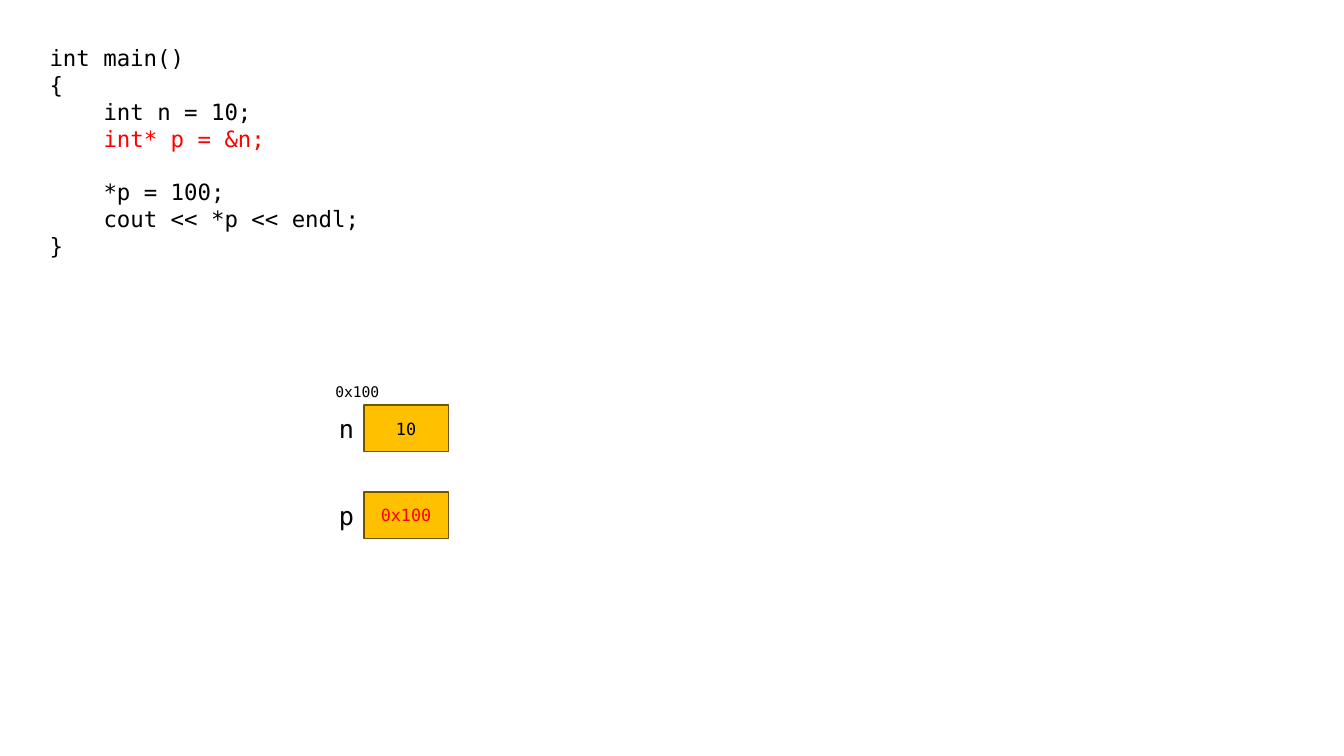
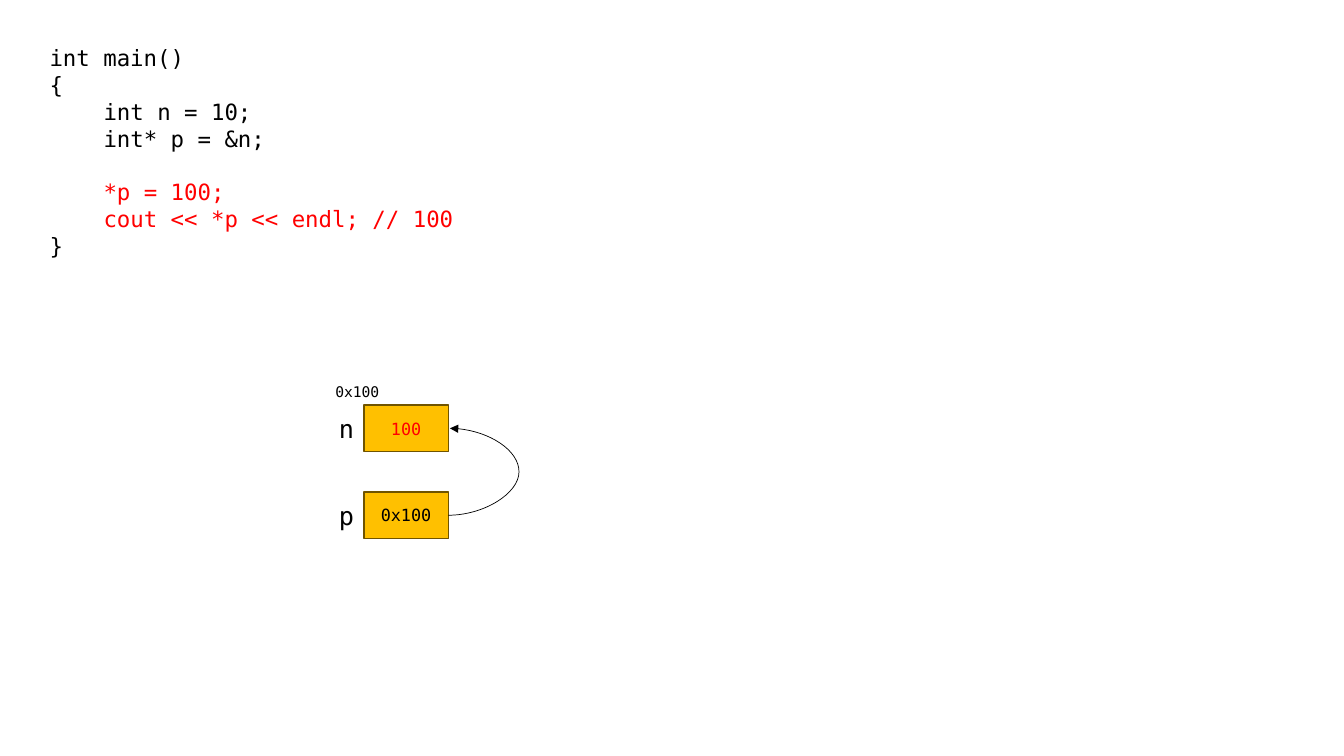
from dataclasses import dataclass

from lxml.etree import SubElement
from pptx import Presentation
from pptx.dml.color import RGBColor as Rgb
from pptx.enum.shapes import MSO_CONNECTOR as Link, MSO_SHAPE as Preset
from pptx.enum.text import MSO_ANCHOR as Anchor, MSO_AUTO_SIZE as Fit, PP_ALIGN as Align
from pptx.oxml.ns import qn
from pptx.util import Cm, Pt


@dataclass(frozen=True)
class Theme:
    """Colours, font and type sizes shared by the slides."""
    ink: Rgb = Rgb(0, 0, 0)
    accent: Rgb = Rgb(0xFF, 0, 0)
    cell: Rgb = Rgb(0xFF, 0xC0, 0)
    edge: Rgb = Rgb(0x70, 0x54, 0)
    paper: Rgb = Rgb(0xFF, 0xFF, 0xFF)
    font: str = "DejaVu Sans Mono"
    code: float = 16
    name: float = 18
    value: float = 12
    address: float = 10.5


@dataclass(frozen=True)
class Box:
    """A region of the slide, in centimetres."""
    left: float
    top: float
    width: float
    height: float

    def place(self):
        """Return the region as lengths for an add method."""
        return Cm(self.left), Cm(self.top), Cm(self.width), Cm(self.height)

    def inner(self, left, top, width, height):
        """Return a region measured from this one's corner."""
        return Box(self.left + left, self.top + top, width, height)


THEME = Theme()
CODE_BOX = Box(1, 1, 16.94, 5.9)
MEMORY_BOX = Box(8.2, 9.52, 3.1, 4.05)
INDENT, BLANK_LINE = Cm(1.36), 18.6


def write(paragraph, text, size, color=THEME.ink, align=Align.LEFT, indent=0, before=0):
    """Put formatted text into a paragraph."""
    run = paragraph.add_run()
    run.text = text
    run.font.name, run.font.size = THEME.font, Pt(size)
    run.font.color.rgb = color
    paragraph.alignment = align
    paragraph.space_before = Pt(before)
    if indent:
        paragraph._p.get_or_add_pPr().set("marL", str(indent))


def text_frame(slide, box):
    """Add a wrapping text box that grows with its text."""
    frame = slide.shapes.add_textbox(*box.place()).text_frame
    frame.word_wrap = True
    frame.auto_size = Fit.SHAPE_TO_FIT_TEXT
    return frame


def code_listing(slide, box, lines, marked):
    """Show the program, with the marked lines in the accent colour."""
    frame = text_frame(slide, box)
    for number, (text, depth, gap) in enumerate(lines):
        paragraph = frame.add_paragraph() if number else frame.paragraphs[0]
        write(paragraph, text, THEME.code, THEME.accent if number in marked else THEME.ink,
              indent=depth * INDENT, before=gap)


def variable(slide, box, name, value, changed):
    """Draw a named memory cell and return the cell."""
    cell = slide.shapes.add_shape(Preset.RECTANGLE, *box.inner(0.97, 0, 2.13, 1.17).place())
    cell.shadow.inherit = False
    cell.fill.solid()
    cell.fill.fore_color.rgb = THEME.cell
    cell.line.color.rgb, cell.line.width = THEME.edge, Pt(1)
    cell.text_frame.vertical_anchor = Anchor.MIDDLE
    write(cell.text_frame.paragraphs[0], value, THEME.value,
          THEME.accent if changed else THEME.ink, Align.CENTER)
    label = text_frame(slide, box.inner(0, 0.08, 1.07, 1.02))
    write(label.paragraphs[0], name, THEME.name, align=Align.CENTER)
    return cell


def pointer_arrow(slide, source, target, reach=Cm(1.78), offset=Cm(0.04)):
    """Curve an arrow out to the right from one cell back to another."""
    arrow = slide.shapes.add_connector(Link.CURVE, 0, 0, 0, 0)
    arrow.begin_connect(source, 3)
    arrow.end_connect(target, 3)
    arrow.end_x = arrow.begin_x + offset
    arrow.line.color.rgb, arrow.line.width = THEME.ink, Pt(0.5)
    SubElement(arrow.line._get_or_add_ln(), qn("a:tailEnd"), type="triangle")
    properties = arrow._element.spPr
    SubElement(properties, qn("a:effectLst"))
    guides = properties.find(qn("a:prstGeom")).get_or_add_avLst()
    SubElement(guides, qn("a:gd"), name="adj1", fmla=f"val {round(reach / offset * 100000)}")


def memory(slide, box, values, changed, linked):
    """Stack the variables under their address, linked by an arrow if asked."""
    cells = {}
    for row, (name, value) in enumerate(values.items()):
        region = box.inner(0, 0.69 + row * 2.19, box.width, 1.17)
        cells[name] = variable(slide, region, name, value, name == changed)
    address = text_frame(slide, box.inner(0, 0, 2.13, 0.74))
    write(address.paragraphs[0], "0x100", THEME.address)
    if linked:
        pointer_arrow(slide, cells["p"], cells["n"])


def pointer_slide(deck, output, marked, n, changed, linked=False):
    """Add one step of the program with the state of its memory."""
    slide = deck.slides.add_slide(deck.slide_layouts[6])
    slide.background.fill.solid()
    slide.background.fill.fore_color.rgb = THEME.paper
    lines = [("int main()", 0, 0), ("{", 0, 0), ("int n = 10;", 1, 0), ("int* p = &n;", 1, 0),
             ("*p = 100;", 1, BLANK_LINE), (output, 1, 0), ("}", 0, 0)]
    code_listing(slide, CODE_BOX, lines, marked)
    memory(slide, MEMORY_BOX, {"n": n, "p": "0x100"}, changed, linked)


def main():
    """Build and save the deck."""
    deck = Presentation()
    deck.slide_width, deck.slide_height = Cm(33.87), Cm(19.05)
    pointer_slide(deck, "cout << *p << endl;", {3}, "10", "p")
    pointer_slide(deck, "cout << *p << endl; // 100", {4, 5}, "100", "n", linked=True)
    deck.save("out.pptx")


main()
